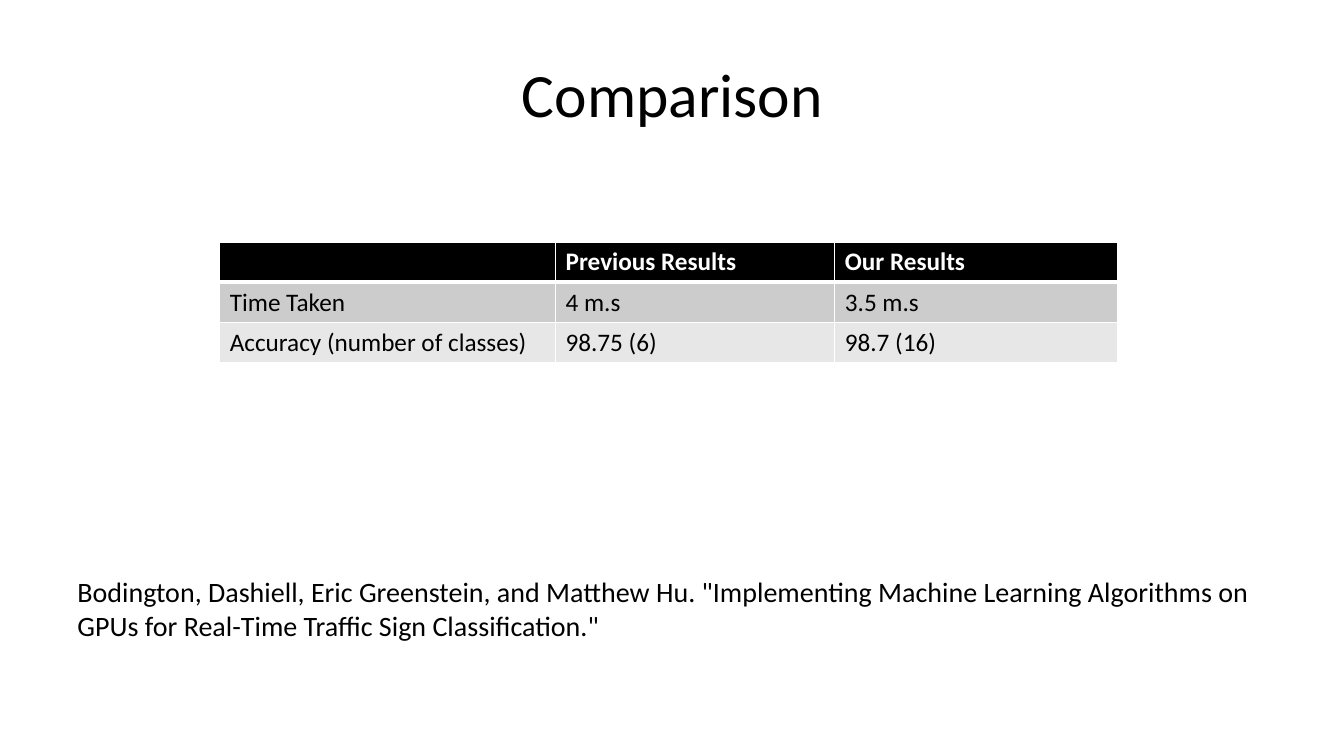
from lxml import etree
from pptx import Presentation
from pptx.dml.color import RGBColor
from pptx.enum import text
from pptx.oxml import ns
from pptx.util import Inches, Pt

COLORS = {
    "ink": "000000",
    "paper": "FFFFFF",
    "band_dark": "CCCCCC",
    "band_light": "E7E7E7",
}


class SlideBuilder:
    font = "Calibri"

    def __init__(self, slide):
        self.slide = slide

    def format_runs(self, paragraph, size, color, bold=False):
        for run in paragraph.runs:
            run.font.name = self.font
            run.font.size = Pt(size)
            run.font.bold = bold
            run.font.color.rgb = RGBColor.from_string(COLORS[color])

    def text_box(self, words, left, top, width, height, size,
                 align=text.PP_ALIGN.LEFT, anchor=text.MSO_ANCHOR.TOP):
        box = self.slide.shapes.add_textbox(
            Inches(left), Inches(top), Inches(width), Inches(height))
        frame = box.text_frame
        frame.word_wrap = True
        frame.vertical_anchor = anchor
        frame.text = words
        frame.paragraphs[0].alignment = align
        self.format_runs(frame.paragraphs[0], size, "ink")

    def cell_borders(self, cell, widths):
        """Draw white borders; widths maps a side (L, R, T, B) to points."""
        properties = cell._tc.get_or_add_tcPr()
        for side, width in widths.items():
            line = etree.SubElement(properties, ns.qn(f"a:ln{side}"), w=str(Pt(width)))
            fill = etree.SubElement(line, ns.qn("a:solidFill"))
            etree.SubElement(fill, ns.qn("a:srgbClr"), val=COLORS["paper"])

    def table(self, rows, left, top, column_widths, row_height, size):
        """Add a table with a black header row and banded grey body rows."""
        table = self.slide.shapes.add_table(
            len(rows), len(column_widths), Inches(left), Inches(top),
            Inches(sum(column_widths)), Inches(row_height * len(rows))).table
        for column, width in zip(table.columns, column_widths):
            column.width = Inches(width)
        for r, row in enumerate(rows):
            table.rows[r].height = Inches(row_height)
            header = r == 0
            band = "ink" if header else ("band_light", "band_dark")[r % 2]
            for c, words in enumerate(row):
                cell = table.cell(r, c)
                cell.text_frame.text = words
                self.format_runs(cell.text_frame.paragraphs[0], size,
                                 "paper" if header else "ink", bold=header)
                self.cell_borders(cell, {"L": 1, "R": 1, "T": 3 if r == 1 else 1,
                                         "B": 3 if header else 1})
                cell.fill.solid()
                cell.fill.fore_color.rgb = RGBColor.from_string(COLORS[band])


def main():
    deck = Presentation()
    deck.slide_width, deck.slide_height = Inches(13.33), Inches(7.5)
    builder = SlideBuilder(deck.slides.add_slide(deck.slide_layouts[6]))

    builder.text_box("Comparison", 0.67, 0.3, 12, 1.25, 44,
                     text.PP_ALIGN.CENTER, text.MSO_ANCHOR.MIDDLE)
    builder.table(
        [("", "Previous Results", "Our Results"),
         ("Time Taken", "4 m.s", "3.5 m.s"),
         ("Accuracy (number of classes)", "98.75 (6)", "98.7 (16)")],
        2.18, 2.4, (3.33, 2.77, 2.8), 0.4, 18)
    builder.text_box(
        'Bodington, Dashiell, Eric Greenstein, and Matthew Hu. "Implementing Machine '
        'Learning Algorithms on GPUs for Real-Time Traffic Sign Classification."',
        0.67, 5.65, 12, 0.8, 20)

    deck.save("out.pptx")


if __name__ == "__main__":
    main()
